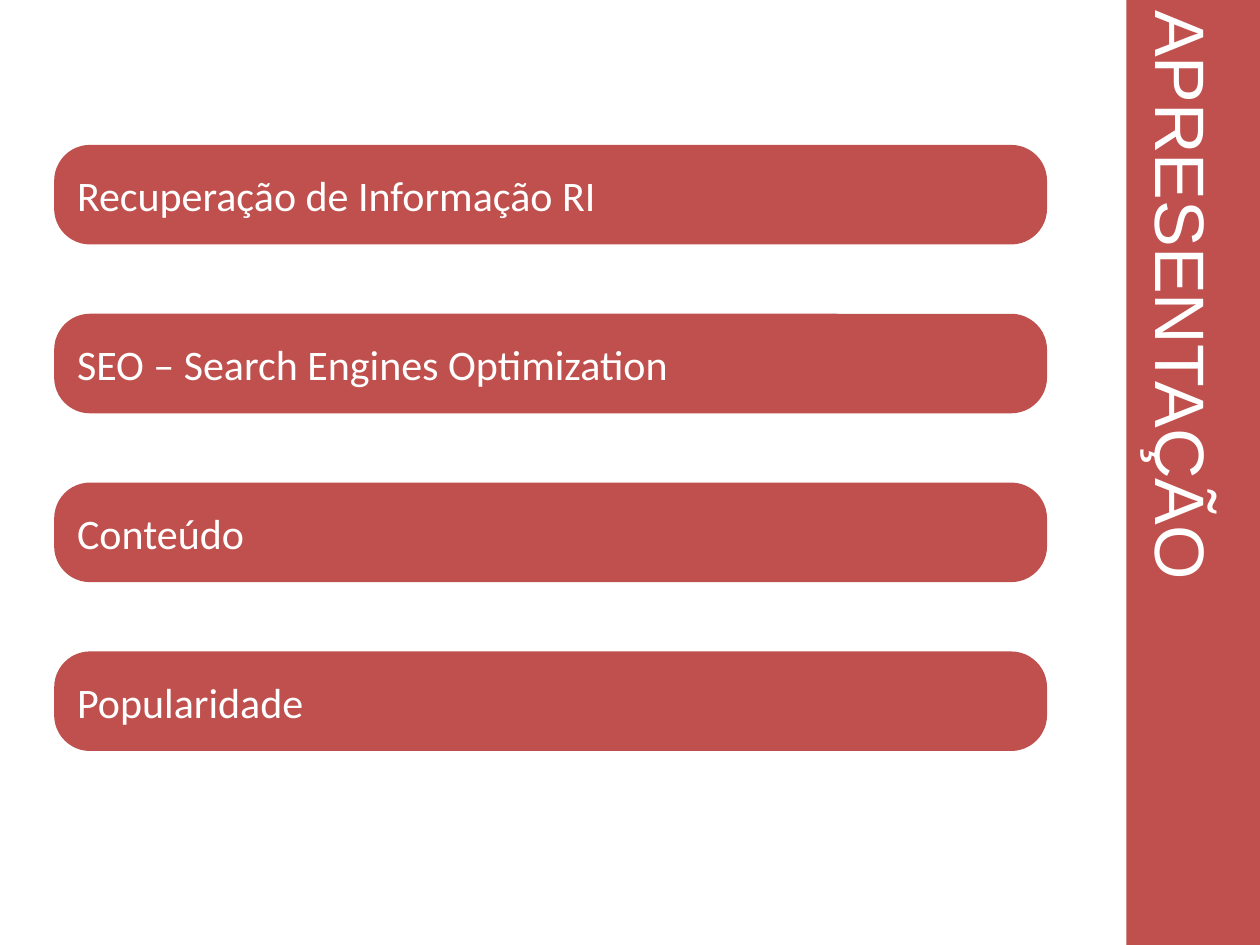
import pptx
import pptx.dml.color
import pptx.enum.shapes
import pptx.enum.text
import pptx.util
from dataclasses import dataclass

Inches = pptx.util.Inches
Align = pptx.enum.text.PP_ALIGN


@dataclass(frozen=True)
class Theme:
    red: str = "C0504D"
    white: str = "FFFFFF"
    title_font: str = "Arial"
    title_size: int = 40
    body_font: str = "Calibri"
    body_size: int = 24


theme = Theme()


def fill_red(sp):
    sp.fill.solid()
    sp.fill.fore_color.rgb = pptx.dml.color.RGBColor.from_string(theme.red)
    sp.line.fill.background()


def write(sp, text, font, size, align, insets):
    tf = sp.text_frame
    tf.word_wrap = True
    tf.auto_size = pptx.enum.text.MSO_AUTO_SIZE.NONE
    tf.vertical_anchor = pptx.enum.text.MSO_ANCHOR.MIDDLE
    tf.margin_left, tf.margin_top, tf.margin_right, tf.margin_bottom = map(Inches, insets)
    p = tf.paragraphs[0]
    p.alignment = align
    r = p.add_run()
    r.text = text
    r.font.name = font
    r.font.size = pptx.util.Pt(size)
    r.font.color.rgb = pptx.dml.color.RGBColor.from_string(theme.white)


prs = pptx.Presentation()
prs.slide_width, prs.slide_height = Inches(10), Inches(7.5)
s = prs.slides.add_slide(prs.slide_layouts[5])

# Vertical title band on the right edge
title = s.shapes.title
title.left, title.top = Inches(8.94), Inches(0)
title.width, title.height = Inches(1.06), Inches(7.53)
fill_red(title)
write(title, "APRESENTAÇÃO", theme.title_font, theme.title_size,
      Align.CENTER, (0.05, 0.08, 0.2, 0.1))
title.text_frame._txBody.bodyPr.set("vert", "eaVert")

# Topic bars, evenly spaced
topics = [
    "Recuperação de Informação RI",
    "SEO – Search Engines Optimization",
    "Conteúdo",
    "Popularidade",
]
first_top, pitch = 1.15, 1.34
for i, topic in enumerate(topics):
    bar = s.shapes.add_shape(
        pptx.enum.shapes.MSO_SHAPE.ROUNDED_RECTANGLE,
        Inches(0.43), Inches(first_top + i * pitch), Inches(7.88), Inches(0.79))
    bar.adjustments[0] = 0.36
    bar.shadow.inherit = False
    fill_red(bar)
    write(bar, topic, theme.body_font, theme.body_size,
          Align.LEFT, (0.1, 0.05, 0.1, 0.05))

prs.save("out.pptx")
